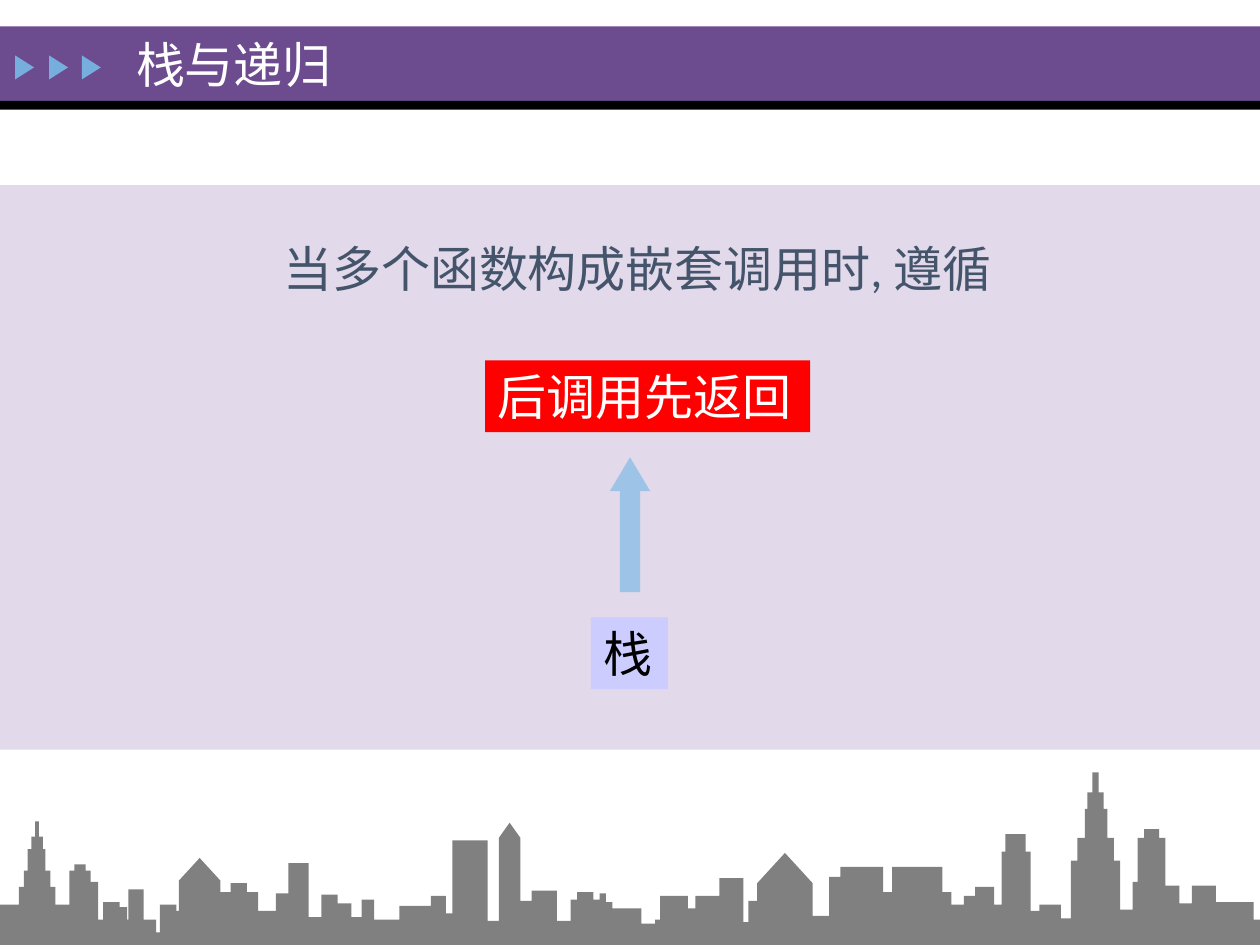
"""Build the slide on stacks and recursion, with a skyline merged from simple buildings."""
from itertools import pairwise

from pptx import Presentation
from pptx.dml.color import RGBColor
from pptx.enum.shapes import MSO_SHAPE as Shape
from pptx.enum.text import MSO_ANCHOR as Anchor, PP_ALIGN as Align
from pptx.util import Inches, Pt

SLIDE_WIDTH, SLIDE_HEIGHT = 10, 7.5


def paint(shape, color):
    shape.shadow.inherit = False
    shape.fill.solid()
    shape.fill.fore_color.rgb = RGBColor.from_string(color)
    shape.line.fill.background()
    return shape


def write(shape, text, color, anchor=Anchor.TOP):
    frame = shape.text_frame
    frame.word_wrap = True
    frame.vertical_anchor = anchor
    para = frame.paragraphs[0]
    para.text = text
    para.alignment = Align.LEFT
    para.font.name = "Calibri"
    para.font.size = Pt(28)
    para.font.color.rgb = RGBColor.from_string(color)


deck = Presentation()
deck.slide_width, deck.slide_height = Inches(SLIDE_WIDTH), Inches(SLIDE_HEIGHT)
slide = deck.slides.add_slide(deck.slide_layouts[5])
shapes = slide.shapes

bands = [(0.21, 0.59, "6C4C8F"), (0.8, 0.07, "000000"), (1.47, 4.48, "E2D9EB")]
for top, height, color in bands:
    band = shapes.add_shape(
        Shape.RECTANGLE, 0, Inches(top), Inches(SLIDE_WIDTH), Inches(height))
    paint(band, color)

for left in (0.1, 0.37, 0.63):
    marker = shapes.add_shape(
        Shape.ISOSCELES_TRIANGLE, Inches(left), Inches(0.46), Inches(0.19), Inches(0.15))
    marker.rotation = 90
    paint(marker, "76AEDD")

title = shapes.title
title.left, title.top, title.width, title.height = map(Inches, (0.98, 0.13, 6.73, 0.75))
write(title, "栈与递归", "FFFFFF", Anchor.MIDDLE)
title.element.getparent().append(title.element)

statement = shapes.add_textbox(Inches(2.15), Inches(1.84), Inches(6.31), Inches(0.57))
write(statement, "当多个函数构成嵌套调用时, 遵循", "44546A")

labels = [
    (3.85, 2.86, 2.58, "后调用先返回", "FF0000", "FFFFFF"),
    (4.69, 4.9, 0.61, "栈", "CCCCFF", "000000"),
]
for left, top, width, text, fill, color in labels:
    box = shapes.add_shape(
        Shape.RECTANGLE, Inches(left), Inches(top), Inches(width), Inches(0.57))
    write(paint(box, fill), text, color)

arrow = shapes.add_shape(Shape.UP_ARROW, Inches(4.84), Inches(3.63), Inches(0.32), Inches(1.07))
arrow.adjustments[0], arrow.adjustments[1] = 0.5, 0.84
paint(arrow, "9DC3E6")

street_levels = {
    0: 7.18, 0.78: 7.3, 1.24: 7.4, 1.27: 7.23, 2.45: 7.28, 2.97: 7.3, 3.54: 7.25,
    3.87: 7.31, 4.86: 7.21, 5.09: 7.33, 5.2: 7.3, 5.46: 7.21, 5.9: 7.32, 6.45: 7.27,
    7.55: 7.18, 8.18: 7.23, 8.42: 7.29, 8.89: 7.22, 9.36: 7.17, 9.95: 7.3,
}
flat_houses = [
    (0.55, 0.78, 7), (0.82, 1.01, 7.2), (0.82, 0.95, 7.16), (1.02, 1.14, 7.06),
    (1.27, 1.4, 7.18), (1.75, 2.05, 7.08), (1.83, 1.96, 7.01), (2.19, 2.45, 7.09),
    (2.29, 2.45, 6.85), (2.55, 2.79, 7.17), (2.55, 2.68, 7.1), (2.87, 2.97, 7.14),
    (3.17, 3.54, 7.19), (3.42, 3.54, 7.11), (3.59, 3.87, 6.67), (4.13, 4.22, 7.15),
    (4.22, 4.42, 7.07), (4.53, 4.86, 7.16), (4.76, 4.81, 7.09), (5.24, 5.46, 7.11),
    (5.52, 5.9, 7.11), (5.71, 5.9, 6.97), (5.94, 6.01, 7.15), (6.58, 6.67, 6.96),
    (6.67, 7.01, 6.88), (7.01, 7.55, 7.08), (7.08, 7.48, 6.88), (7.65, 7.89, 7.11),
    (7.74, 7.89, 7.04), (7.95, 8.18, 6.76), (7.98, 8.14, 6.62), (8.25, 8.42, 7.18),
    (8.99, 9.25, 7), (9.25, 9.36, 7.03), (9.46, 9.65, 7.03), (9.65, 9.95, 7.16),
]
gabled_houses = [(1.42, 1.75, 6.99, 6.81), (3.96, 4.13, 6.65, 6.53), (6.01, 6.45, 7.01, 6.77)]
tower_tiers = {
    0.295: [(0.03, 6.52), (0.09, 6.64), (0.14, 6.74), (0.21, 6.91), (0.29, 7.04)],
    0.635: [(0.09, 6.86), (0.17, 6.91)],
    4.645: [(0.13, 7.08), (0.23, 7.14)],
    8.695: [(0.05, 6.13), (0.12, 6.29), (0.18, 6.42), (0.28, 6.65), (0.39, 6.83)],
    9.14: [(0.12, 6.58), (0.22, 6.65)],
}

walls = flat_houses + [(left, right, eaves) for left, right, eaves, peak in gabled_houses]
for (left, level), (right, next_level) in pairwise([*street_levels.items(), (SLIDE_WIDTH, 0)]):
    walls.append((left, right, level))
for center, tiers in tower_tiers.items():
    for width, top in tiers:
        walls.append((round(center - width / 2, 2), round(center + width / 2, 2), top))

peaks = {left: ((left + right) / 2, peak) for left, right, eaves, peak in gabled_houses}
edges = sorted({edge for left, right, top in walls for edge in (left, right)})
outline = []
for left, right in pairwise(edges):
    roof = min(top for start, end, top in walls if start <= left and right <= end)
    outline.append((left, roof))
    if left in peaks:
        outline.append(peaks[left])
    outline.append((right, roof))
outline.append((SLIDE_WIDTH, SLIDE_HEIGHT))

skyline = shapes.build_freeform(0, Inches(SLIDE_HEIGHT), scale=1.0)
skyline.add_line_segments([(Inches(x), Inches(y)) for x, y in outline], close=True)
paint(skyline.convert_to_shape(), "808080")

deck.save("out.pptx")
